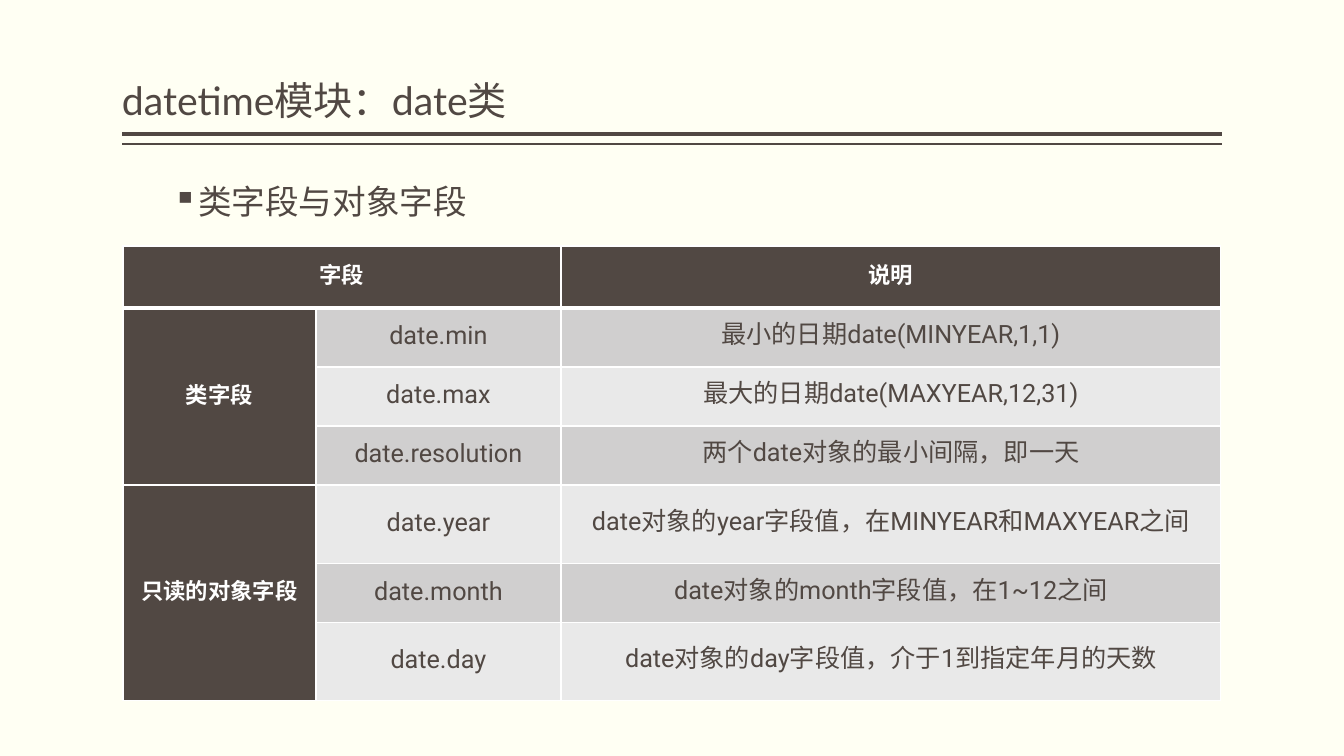
"""Build the slide on the fields of the date class."""
from lxml import etree
from pptx import Presentation
from pptx.dml.color import RGBColor
from pptx.enum.shapes import MSO_CONNECTOR
from pptx.enum.text import MSO_ANCHOR, MSO_AUTO_SIZE, PP_ALIGN
from pptx.oxml.ns import qn
from pptx.util import Pt

TITLE = "datetime模块：date类"
POINT = "类字段与对象字段"
HEAD = ["字段", "", "说明"]
GROUPS = [
    ("类字段", [
        ("date.min", "最小的日期date(MINYEAR,1,1)"),
        ("date.max", "最大的日期date(MAXYEAR,12,31)"),
        ("date.resolution", "两个date对象的最小间隔，即一天"),
    ]),
    ("只读的对象字段", [
        ("date.year", "date对象的year字段值，在MINYEAR和MAXYEAR之间"),
        ("date.month", "date对象的month字段值，在1~12之间"),
        ("date.day", "date对象的day字段值，介于1到指定年月的天数"),
    ]),
]
COLS = [193, 245, 660]
ROWS = [62, 59, 59, 59, 79, 59, 78]
RULES = [(134, 3), (144, 1)]

CREAM = RGBColor(0xFF, 0xFF, 0xF3)
BROWN = RGBColor(0x51, 0x48, 0x43)
WHITE = RGBColor(0xFF, 0xFF, 0xFF)
BANDS = [RGBColor(0xE9, 0xE9, 0xE9), RGBColor(0xD0, 0xCF, 0xCF)]
CJK = "Noto Sans CJK SC"
LINE = MSO_CONNECTOR.STRAIGHT
MIDDLE, TOP, BOTTOM = MSO_ANCHOR.MIDDLE, MSO_ANCHOR.TOP, MSO_ANCHOR.BOTTOM
LEFT, CENTER = PP_ALIGN.LEFT, PP_ALIGN.CENTER
FIXED = MSO_AUTO_SIZE.NONE

TITLE_FONT = {"name": "Lato", "size": Pt(28), "bold": False}
POINT_FONT = {"name": CJK, "size": Pt(24), "bold": False}
HEAD_FONT = {"name": "Roboto", "size": Pt(16), "bold": True}
BODY_FONT = {"name": "Roboto", "size": Pt(18), "bold": False}


def px(num):
    """Turn pixels into EMU."""
    return round(num * 914400 / 100.8)


def put(item, pairs):
    """Set each named value on an item."""
    for name, value in pairs.items():
        setattr(item, name, value)


def write(frame, text, font, color, **form):
    """Write one styled paragraph and return it."""
    para = frame.paragraphs[0]
    put(para, form)
    run = para.add_run()
    run.text = text
    put(run.font, font)
    run.font.color.rgb = color
    east = etree.SubElement(run.font._element, qn("a:ea"))
    east.set("typeface", CJK)
    return para


def edge(cell, side, width):
    """Draw one white border of a cell."""
    props = cell._tc.get_or_add_tcPr()
    line = etree.SubElement(props, qn("a:ln" + side), w=str(Pt(width)))
    fill = etree.SubElement(line, qn("a:solidFill"))
    etree.SubElement(fill, qn("a:srgbClr"), val=str(WHITE))


def add_rules(slide):
    """Draw the double rule below the title."""
    for y, width in RULES:
        rule = slide.shapes.add_connector(LINE, px(1222), px(y), px(122), px(y))
        rule.line.color.rgb = BROWN
        rule.line.width = Pt(width)
        etree.SubElement(rule._element.spPr, qn("a:effectLst"))


def add_text(slide):
    """Place the title and the bullet point."""
    inset = {"margin_left": 0, "margin_right": 0, "margin_top": px(5),
             "margin_bottom": px(5), "word_wrap": True, "auto_size": FIXED}
    title = slide.shapes.title
    put(title, {"left": px(122), "top": px(8), "width": px(1100), "height": px(121)})
    put(title.text_frame, {**inset, "vertical_anchor": BOTTOM})
    write(title.text_frame, TITLE, TITLE_FONT, BROWN, alignment=LEFT, line_spacing=0.9)

    box = slide.shapes.add_textbox(px(122), px(176), px(1167), px(504))
    put(box.text_frame, {**inset, "vertical_anchor": TOP})
    para = write(box.text_frame, POINT, POINT_FONT, BROWN, level=1, space_before=Pt(6))
    props = para._p.get_or_add_pPr()
    props.set("marL", str(px(76)))
    props.set("indent", str(px(-25)))
    etree.SubElement(props, qn("a:buChar"), char="▪")


def add_fields(slide):
    """Fill the table of class and object fields."""
    data = [HEAD]
    for group, fields in GROUPS:
        for i, field in enumerate(fields):
            data.append(["" if i else group, *field])
    table = slide.shapes.add_table(
        len(ROWS), len(COLS), px(123), px(246), px(sum(COLS)), px(sum(ROWS))).table
    put(table, {"first_row": False, "horz_banding": False})
    for col, width in zip(table.columns, COLS):
        col.width = px(width)
    for row, height in zip(table.rows, ROWS):
        row.height = px(height)
    for r, texts in enumerate(data):
        for c, text in enumerate(texts):
            cell = table.cell(r, c)
            dark = r == 0 or c == 0
            put(cell, {"margin_left": px(7), "margin_right": px(7), "margin_top": 0,
                       "margin_bottom": 0, "vertical_anchor": MIDDLE})
            for side in "LRTB":
                thick = (r, side) in [(0, "B"), (1, "T")]
                edge(cell, side, 3 if thick else 1)
            cell.fill.solid()
            cell.fill.fore_color.rgb = BROWN if dark else BANDS[r % 2]
            if text:
                write(cell.text_frame, text, HEAD_FONT if dark else BODY_FONT,
                      WHITE if dark else BROWN, alignment=CENTER, line_spacing=Pt(19))
    table.cell(0, 0).merge(table.cell(0, 1))
    top = 1
    for _, fields in GROUPS:
        table.cell(top, 0).merge(table.cell(top + len(fields) - 1, 0))
        top += len(fields)


def main():
    """Build and save the deck."""
    deck = Presentation()
    put(deck, {"slide_width": px(1344), "slide_height": px(756)})
    slide = deck.slides.add_slide(deck.slide_layouts[5])
    slide.background.fill.solid()
    slide.background.fill.fore_color.rgb = CREAM
    add_rules(slide)
    add_text(slide)
    add_fields(slide)
    deck.save("out.pptx")


if __name__ == "__main__":
    main()
